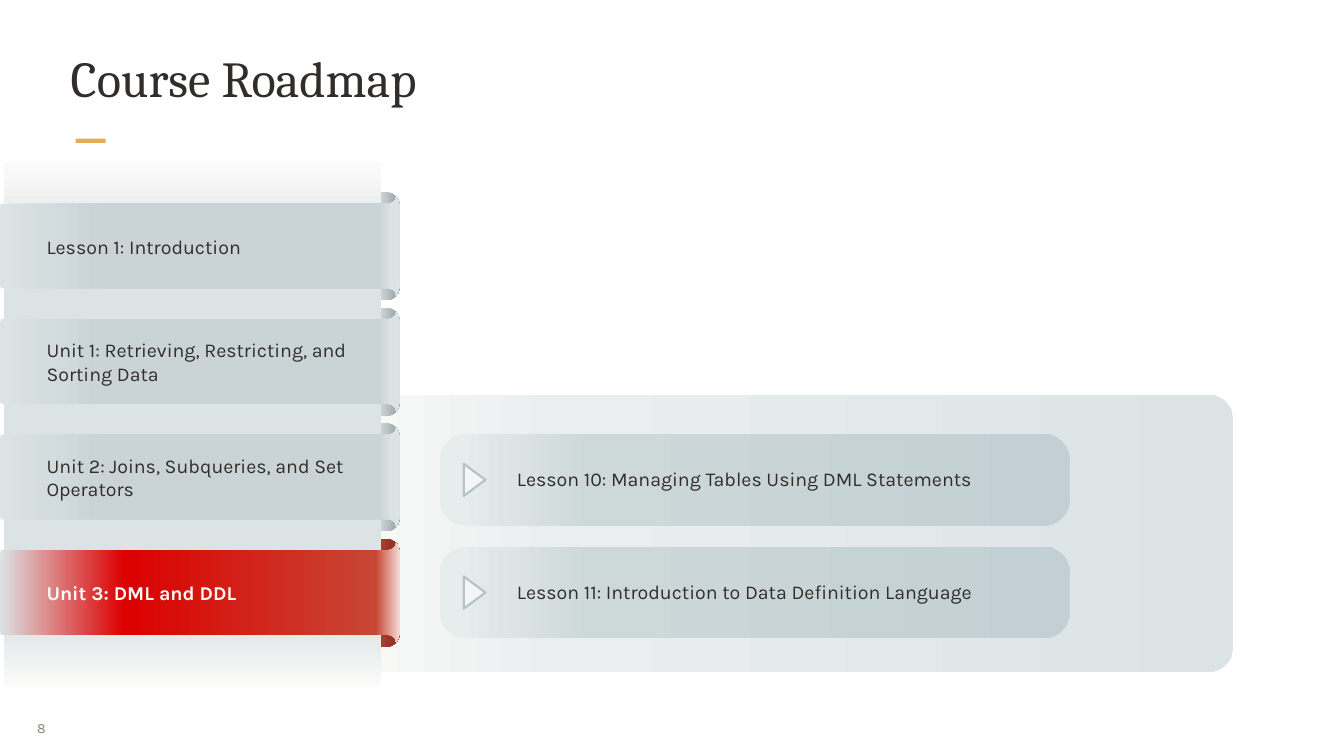
from lxml.etree import SubElement
from pptx import Presentation
from pptx.dml.color import RGBColor
from pptx.enum.shapes import MSO_SHAPE as Shape
from pptx.enum.text import MSO_ANCHOR as Anchor, PP_ALIGN as Align
from pptx.oxml.ns import qn
from pptx.util import Pt

EMU_PER_PX = 9525  # 96 px to the inch
INK, PAPER, MIST = "312D2A", "FCFBFA", "DCE3E4"

PANEL_STOPS = [(0, PAPER), (26, "EAEEEF"), (100, MIST)]
PILL_STOPS = [(3, "E7ECED"), (24, "CDD8D9"), (100, "C2CFD4")]
COLUMN_STOPS = [(0, PAPER), (17, MIST), (87, MIST), (100, PAPER)]
CURL_STOPS = [(77, "DEE4E5"), (99, "96A2A7")]
ACTIVE_CURL_STOPS = [(73, "C74634"), (92, "953427")]
BAND_STOPS = [(0, MIST), (25, "CAD4D7"), (95, "CAD4D7"), (98, MIST)]
ACTIVE_BAND_STOPS = [(0, MIST), (31, "DC0000"), (94, "C74634"), (100, "F4DAD6")]

UNITS = [
    "Lesson 1: Introduction",
    "Unit 1: Retrieving, Restricting, and Sorting Data",
    "Unit 2: Joins, Subqueries, and Set Operators",
    "Unit 3: DML and DDL",
]
ACTIVE_UNIT = 3
LESSONS = [
    "Lesson 10: Managing Tables Using DML Statements",
    "Lesson 11: Introduction to Data Definition Language",
]
BAND_TOP, BAND_PITCH, BAND_HEIGHT = 280, 165, 143
PILL_TOP, PILL_PITCH, PILL_HEIGHT = 620, 161, 131


def px(length):
    return round(length * EMU_PER_PX)


def color(hex_value):
    return RGBColor.from_string(hex_value)


def paint_gradient(shape, stops, angle=0):
    """Fill with (percent, colour) stops; the angle runs clockwise."""
    shape.fill.gradient()
    shape.fill.gradient_angle = -angle % 360
    stop_list = shape.element.spPr.find(qn("a:gradFill")).find(qn("a:gsLst"))
    for old_stop in list(stop_list):
        stop_list.remove(old_stop)
    for percent, hex_value in stops:
        stop = SubElement(stop_list, qn("a:gs"), pos=str(percent * 1000))
        SubElement(stop, qn("a:srgbClr"), val=hex_value)


def paint(shape, fill, angle=0, line=None):
    """Fill with one colour or a list of gradient stops."""
    shape.shadow.inherit = False
    if isinstance(fill, str):
        shape.fill.solid()
        shape.fill.fore_color.rgb = color(fill)
    else:
        paint_gradient(shape, fill, angle)
    if line:
        shape.line.color.rgb = color(line)
        shape.line.width = Pt(2.25)
    else:
        shape.line.fill.background()


def add_block(slide, kind, box, fill, radius=None, rotation=0, **style):
    shape = slide.shapes.add_shape(kind, *map(px, box))
    if radius is not None:
        shape.adjustments[0] = radius
    shape.rotation = rotation
    paint(shape, fill, **style)


def add_text(slide, text, box, size=21, font="Karla", fill=INK, bold=False,
             anchor=Anchor.MIDDLE, align=None, wrap=True, insets=None):
    frame = slide.shapes.add_textbox(*map(px, box)).text_frame
    frame.word_wrap = wrap
    frame.vertical_anchor = anchor
    if insets:
        frame.margin_left = frame.margin_right = px(insets[0])
        frame.margin_top = frame.margin_bottom = px(insets[1])
    paragraph = frame.paragraphs[0]
    paragraph.alignment = align
    run = paragraph.add_run()
    run.text = text
    run.font.size = Pt(size)
    run.font.name = font
    run.font.bold = bold
    run.font.color.rgb = color(fill)


def curve(p0, p1, p2, p3, steps=8):
    """Points along a cubic Bezier curve, both ends included."""
    points = []
    for step in range(steps + 1):
        t = step / steps
        weights = ((1 - t) ** 3, 3 * t * (1 - t) ** 2, 3 * t * t * (1 - t), t ** 3)
        points.append(tuple(
            sum(weight * value for weight, value in zip(weights, values))
            for values in zip(p0, p1, p2, p3)))
    return points


def add_band(slide, top, stops):
    """Ribbon with flared right corners; its lower half mirrors the upper."""
    upper = [(0, 18), (1, 11)]
    upper += curve((553, 11), (558, 11), (562, 9), (565, 5))
    upper += curve((566, 0), (569, 5), (571, 12), (571, 18))
    lower = [(x, BAND_HEIGHT - y) for x, y in reversed(upper)]
    points = [(px(x), px(top + y)) for x, y in upper + lower]
    builder = slide.shapes.build_freeform(*points[0])
    builder.add_line_segments(points[1:], close=True)
    paint(builder.convert_to_shape(), stops)


def add_lessons(slide):
    add_block(slide, Shape.ROUNDED_RECTANGLE, (454, 564, 1308, 396),
              PANEL_STOPS, radius=0.093)
    for index, lesson in enumerate(LESSONS):
        top = PILL_TOP + index * PILL_PITCH
        add_block(slide, Shape.ROUNDED_RECTANGLE, (628, top, 900, PILL_HEIGHT),
                  PILL_STOPS, radius=0.289)
        add_text(slide, lesson, (729, top + 43, 684, 43))
        add_block(slide, Shape.ISOSCELES_TRIANGLE, (655, top + 50, 46, 31),
                  "F3F5F6", rotation=90, line="B4C3C9")


def add_units(slide):
    tops = [BAND_TOP + index * BAND_PITCH for index in range(len(UNITS))]
    # Curled ends sit behind the column
    for index, top in enumerate(tops):
        stops = ACTIVE_CURL_STOPS if index == ACTIVE_UNIT else CURL_STOPS
        add_block(slide, Shape.ROUNDED_RECTANGLE, (419, top - 5, 152, 154),
                  stops, radius=0.126)
    add_block(slide, Shape.RECTANGLE, (6, 232, 539, 750), COLUMN_STOPS, angle=90)
    # Bands and their labels sit in front
    for index, (unit, top) in enumerate(zip(UNITS, tops)):
        active = index == ACTIVE_UNIT
        add_band(slide, top, ACTIVE_BAND_STOPS if active else BAND_STOPS)
        add_text(slide, unit, (57, top + 33, 465, 78),
                 fill=PAPER if active else INK, bold=active)


def main():
    presentation = Presentation()
    presentation.slide_width, presentation.slide_height = px(1920), px(1080)
    slide = presentation.slides.add_slide(presentation.slide_layouts[6])

    # Accent, page number and title
    add_block(slide, Shape.RECTANGLE, (108, 198, 43, 6), "E6AC58")
    add_text(slide, "8", (41, 1012, 62, 56), size=15, fill="8B8078",
             align=Align.JUSTIFY, wrap=False, insets=(12, 7))
    add_text(slide, "Course Roadmap", (98, 64, 1724, 123), size=54,
             font="Cambria", anchor=Anchor.TOP, insets=(3, 3))

    add_lessons(slide)
    add_units(slide)
    presentation.save("out.pptx")


if __name__ == "__main__":
    main()
